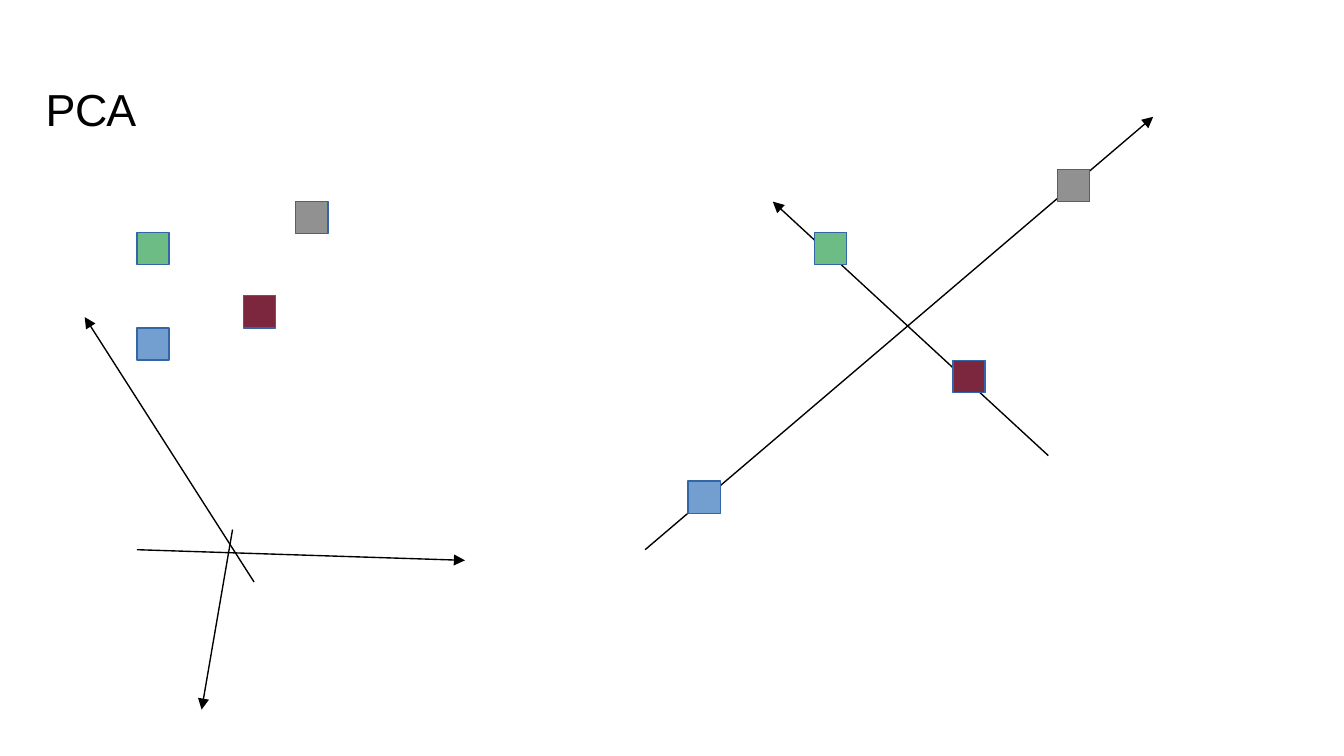
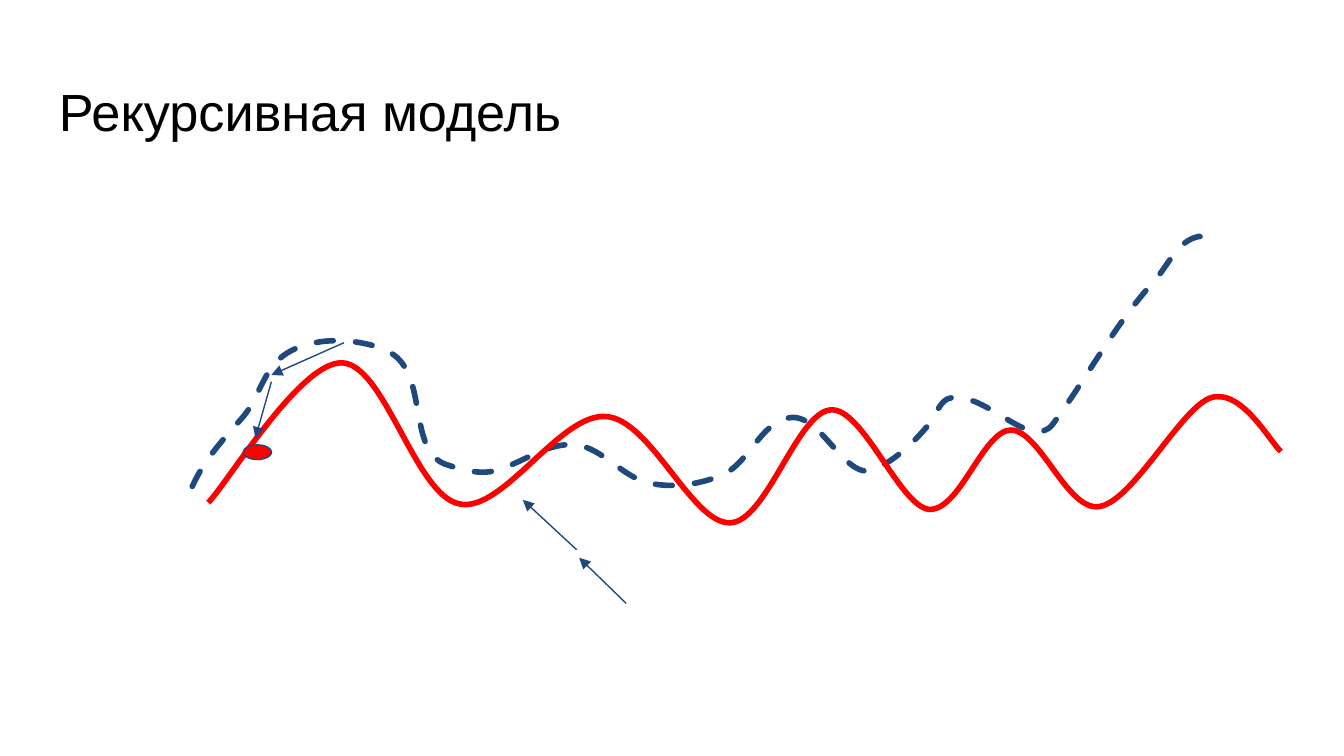
"""Build two slides: a change of axes in PCA, and a recursive model."""
from dataclasses import dataclass
from typing import Any

from lxml import etree
from pptx import Presentation
from pptx import util as u
from pptx.dml import color as c
from pptx.enum import dml, shapes, text
from pptx.oxml import ns

Point = tuple[float, float]
Segment = tuple[Point, Point]

COLORS = {
    "ink": "000000", "green": "6EBC85", "wine": "7C273E", "blue": "729FCF",
    "grey": "919191", "edge": "3465A4", "navy": "1F497D", "red": "FF0000",
}
THIN, THICK = 0.75, 3
MARK = 17.3
TITLE_BOX = (24.5, 35.3, 671, 45.4)


@dataclass
class Title:
    text: str
    size: float
    inset: float
    anchor: Any


@dataclass
class Cloud:
    axes: list[Segment]
    marks: dict[str, Point]


@dataclass
class Curve:
    color: str
    start: Point
    bends: list[tuple[Point, Point, Point]]
    dashed: bool = False


CLOUDS = [
    Cloud(
        [((73.4, 294.5), (249.1, 300.2)),
         ((136.1, 311.8), (45.4, 169.9)),
         ((124.6, 283.7), (108, 380.2))],
        {"green": (73.4, 124.6), "wine": (130.3, 158.4),
         "blue": (73.4, 175.7), "grey": (158.4, 108)},
    ),
    Cloud(
        [((561.6, 244.1), (414, 108)),
         ((345.6, 294.5), (617.8, 62.6))],
        {"green": (436.3, 124.6), "wine": (510.5, 193),
         "blue": (368.6, 257.8), "grey": (566.6, 90.7)},
    ),
]

CURVES = [
    Curve("navy", (103, 260.6), [
        ((109.4, 246.2), (120.2, 234.7), (130.3, 223.2)),
        ((137.5, 214.6), (140.4, 202.3), (147.6, 194.4)),
        ((157, 183.6), (175, 181.4), (188.6, 182.9)),
        ((198, 184.3), (209.5, 186.5), (215.3, 194.4)),
        ((227.5, 210.2), (220.3, 243.4), (239.8, 249.1)),
        ((248.4, 252), (259.2, 254.9), (267.8, 251.3)),
        ((281.5, 247), (293.8, 236.9), (308.2, 238.3)),
        ((323.3, 239.8), (334.1, 257), (349.9, 259.2)),
        ((362.2, 261.4), (375.1, 259.2), (385.9, 254.9)),
        ((401, 249.1), (406.8, 226.8), (422.6, 223.9)),
        ((439.9, 220.3), (452.9, 259.2), (468.7, 251.3)),
        ((480.2, 246.2), (489.6, 236.9), (497.5, 227.5)),
        ((501.8, 222.5), (503.3, 213.8), (509.8, 213.1)),
        ((528.5, 210.2), (552.2, 241.9), (563.8, 227.5)),
        ((582.5, 202.3), (596.9, 174.2), (617.8, 151.2)),
        ((625.7, 142.6), (630.7, 128.9), (642.2, 126.7)),
        ((645.8, 126), (649.4, 129.6), (653, 130.3)),
    ], dashed=True),
    Curve("red", (111.6, 269.3), [
        ((123.1, 257), (160.6, 194.4), (182.9, 194.4)),
        ((205.9, 194.4), (222.5, 265.7), (246.2, 270)),
        ((269.3, 275), (300.2, 221), (324.7, 223.2)),
        ((348.5, 224.6), (370.8, 280.8), (391, 280.1)),
        ((410.4, 280.1), (427, 221), (445, 219.6)),
        ((462.2, 218.2), (481.7, 270.7), (497.5, 272.9)),
        ((514.1, 274.3), (526.3, 231.1), (541.4, 230.4)),
        ((557.3, 230.4), (571.7, 274.3), (589, 271.4)),
        ((607, 268.6), (632.9, 218.2), (648.7, 213.1)),
        ((665.3, 208.1), (680.4, 236.9), (686.2, 241.9)),
    ]),
]

STEPS: list[Segment] = [
    ((184.3, 183.6), (145.4, 200.9)),
    ((308.9, 294.5), (280.1, 267.8)),
    ((335.5, 323.3), (310.3, 298.8)),
    ((145.4, 204.5), (136.8, 234.7)),
]


def apply(target: Any, values: dict[str, Any]) -> None:
    """Set each named attribute on the target."""
    for name, value in values.items():
        setattr(target, name, value)


def rgb(name: str) -> c.RGBColor:
    """Look up a palette colour."""
    return c.RGBColor.from_string(COLORS[name])


def pts(*values: float) -> list[u.Length]:
    """Turn numbers of points into lengths."""
    return [u.Pt(v) for v in values]


def style_line(s: Any, color: str, width: float) -> Any:
    """Colour the outline and return its XML element."""
    s.line.color.rgb = rgb(color)
    s.line.width = u.Pt(width)
    return s.element.spPr.find(ns.qn("a:ln"))


def add_title(sp: Any, title: Title) -> None:
    """Write the slide title."""
    tf = sp.add_textbox(*pts(*TITLE_BOX)).text_frame
    sides = ("left", "top", "right", "bottom")
    apply(tf, {f"margin_{side}": u.Pt(title.inset) for side in sides})
    apply(tf, {"word_wrap": True, "vertical_anchor": title.anchor})
    p = tf.paragraphs[0]
    r = p.add_run()
    r.text = title.text
    apply(r.font, {"name": "Arial", "size": u.Pt(title.size)})
    r.font.color.rgb = rgb("ink")


def add_arrow(sp: Any, segment: Segment, color: str) -> None:
    """Draw a straight arrow along the segment."""
    start, end = segment
    s = sp.add_connector(shapes.MSO_CONNECTOR.STRAIGHT, *pts(*start, *end))
    ln = style_line(s, color, THIN)
    etree.SubElement(ln, ns.qn("a:tailEnd")).set("type", "triangle")
    etree.SubElement(s.element.spPr, ns.qn("a:effectLst"))


def add_mark(sp: Any, kind: Any, at: Point, size: Point, fill: str, edge: str) -> None:
    """Draw a filled marker with a thin outline."""
    s = sp.add_shape(kind, *pts(*at, *size))
    s.shadow.inherit = False
    s.fill.solid()
    s.fill.fore_color.rgb = rgb(fill)
    style_line(s, edge, THIN)


def add_curve(sp: Any, curve: Curve) -> None:
    """Draw an open chain of cubic curves."""
    fb = sp.build_freeform(*pts(*curve.start))
    fb.add_line_segments([pts(*pt) for bend in curve.bends for pt in bend], close=False)
    s = fb.convert_to_shape()
    s.shadow.inherit = False
    s.fill.background()
    ln = style_line(s, curve.color, THICK)
    if curve.dashed:
        s.line.dash_style = dml.MSO_LINE.DASH
        ln.set("cap", "rnd")
    outline = s.element.find(".//" + ns.qn("a:path"))
    steps = outline.findall(ns.qn("a:lnTo"))
    for i in range(0, len(steps), 3):
        cubic = etree.SubElement(outline, ns.qn("a:cubicBezTo"))
        for step in steps[i:i + 3]:
            cubic.append(step[0])
            outline.remove(step)


def add_slide(prs: Any, title: Title) -> Any:
    """Add a blank slide with a title and return its shapes."""
    sp = prs.slides.add_slide(prs.slide_layouts[6]).shapes
    add_title(sp, title)
    return sp


def main() -> None:
    """Build and save the deck."""
    prs = Presentation()
    apply(prs, {"slide_width": u.Pt(720), "slide_height": u.Pt(405)})

    sp = add_slide(prs, Title("РСА", 24, 0, text.MSO_ANCHOR.MIDDLE))
    for cloud in CLOUDS:
        for axis in cloud.axes:
            add_arrow(sp, axis, "ink")
        for fill, at in cloud.marks.items():
            add_mark(sp, shapes.MSO_SHAPE.RECTANGLE, at, (MARK, MARK), fill, "edge")

    sp = add_slide(prs, Title("Рекурсивная модель", 28, 7.2, text.MSO_ANCHOR.TOP))
    for curve in CURVES:
        add_curve(sp, curve)
    for step in STEPS:
        add_arrow(sp, step, "navy")
    add_mark(sp, shapes.MSO_SHAPE.OVAL, (130.3, 238.3), (15.1, 7.9), "red", "navy")

    prs.save("out.pptx")


if __name__ == "__main__":
    main()
